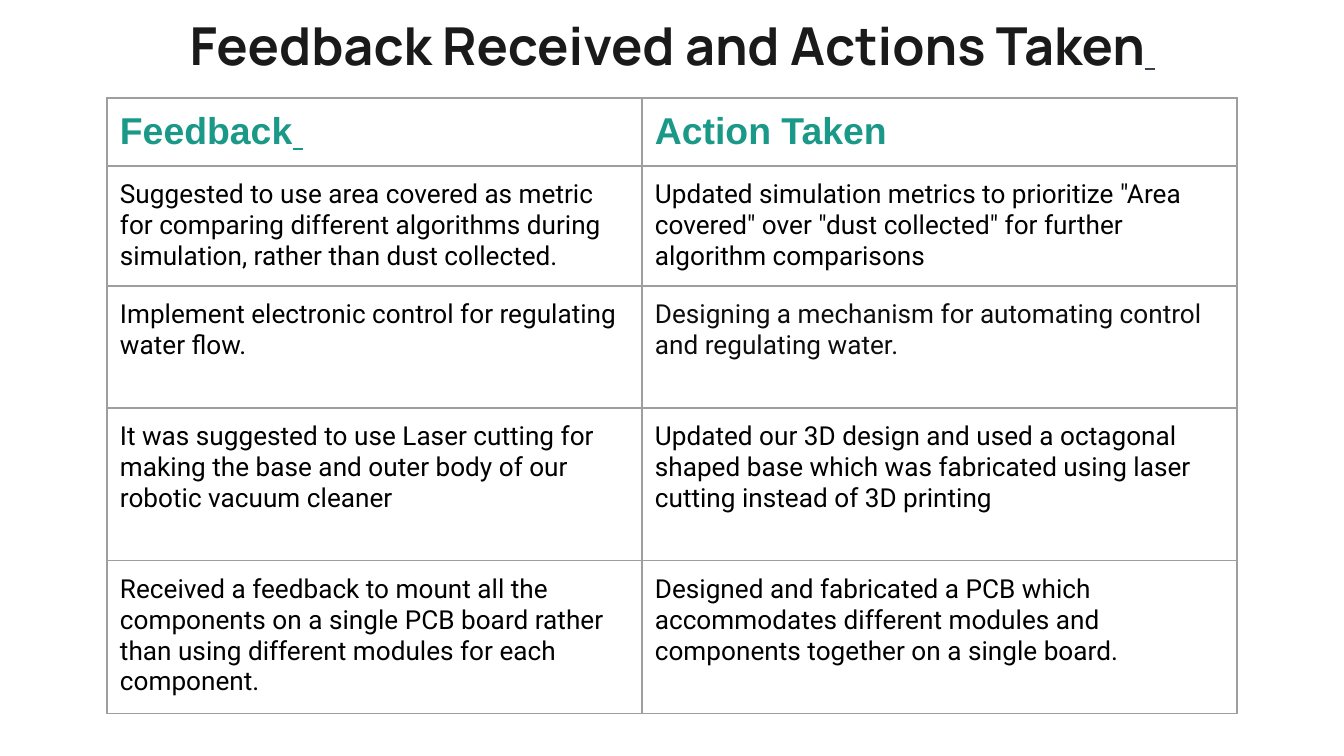
from dataclasses import dataclass

from lxml import etree
from pptx import Presentation
from pptx import util as u
from pptx.dml import color
from pptx.enum import text
from pptx.oxml import ns

PX = 914400 / 134.4


def px(n):
    return u.Emu(round(n * PX))


@dataclass(frozen=True)
class Theme:
    ink: str = "1A1A1A"
    title_mark: str = "374151"
    accent: str = "1A9988"
    body: str = "000000"
    soft: str = "0D0D0D"
    border: str = "9E9E9E"
    title_font: str = "Manrope"
    head_font: str = "Arial"
    body_font: str = "Roboto"
    title_size: int = 28
    head_size: int = 20
    body_size: int = 14
    border_width: float = 0.75
    inset: int = 13


def add_text(p, content, *, font, size, rgb, bold=False, underline=False):
    r = p.add_run()
    r.text = content
    f = r.font
    f.name, f.size, f.bold, f.underline = font, u.Pt(size), bold, underline
    f.color.rgb = color.RGBColor.from_string(rgb)


class Deck:
    def __init__(self, theme, width, height):
        self.theme = theme
        self.prs = Presentation()
        self.prs.slide_width, self.prs.slide_height = px(width), px(height)
        self.s = self.prs.slides.add_slide(self.prs.slide_layouts[5])

    def inset(self, box):
        box.margin_left = box.margin_right = px(self.theme.inset)
        box.margin_top = box.margin_bottom = px(self.theme.inset)
        box.vertical_anchor = text.MSO_ANCHOR.TOP

    def title(self, content, x, y, w, h):
        t = self.theme
        sp = self.s.shapes.title
        sp.left, sp.top, sp.width, sp.height = px(x), px(y), px(w), px(h)
        tf = sp.text_frame
        tf.word_wrap = True
        tf.auto_size = text.MSO_AUTO_SIZE.NONE
        self.inset(tf)
        p = tf.paragraphs[0]
        p.alignment = text.PP_ALIGN.CENTER
        style = dict(font=t.title_font, size=t.title_size, bold=True)
        add_text(p, content, rgb=t.ink, **style)
        add_text(p, " ", rgb=t.title_mark, underline=True, **style)

    def borders(self, cell):
        tc_pr = cell._tc.get_or_add_tcPr()
        for i, side in enumerate(("lnL", "lnR", "lnT", "lnB")):
            ln = etree.Element(ns.qn(f"a:{side}"), w=str(u.Pt(self.theme.border_width)))
            fill = etree.SubElement(ln, ns.qn("a:solidFill"))
            etree.SubElement(fill, ns.qn("a:srgbClr"), val=self.theme.border)
            tc_pr.insert(i, ln)

    def table(self, rows, x, y, widths, heights):
        t = self.theme
        frame = self.s.shapes.add_table(
            len(rows), len(widths), px(x), px(y), px(sum(widths)), px(sum(heights)))
        table = frame.table
        table.horz_banding = False
        for column, w in zip(table.columns, widths):
            column.width = px(w)
        for row, h in zip(table.rows, heights):
            row.height = px(h)
        head = dict(font=t.head_font, size=t.head_size, rgb=t.accent, bold=True)
        for i, row in enumerate(rows):
            for j, content in enumerate(row):
                cell = table.cell(i, j)
                cell.fill.background()
                self.inset(cell)
                self.borders(cell)
                rgb = t.soft if (i, j) == (2, 1) else t.body
                style = head if i == 0 else dict(font=t.body_font, size=t.body_size, rgb=rgb)
                p = cell.text_frame.paragraphs[0]
                add_text(p, content, **style)
                if (i, j) == (0, 0):
                    add_text(p, " ", underline=True, **style)


FEEDBACK = [
    ("Feedback", "Action Taken"),
    ("Suggested to use area covered as metric for comparing different algorithms "
     "during simulation, rather than dust collected.",
     'Updated simulation metrics to prioritize "Area covered" over "dust collected" '
     "for further algorithm comparisons"),
    ("Implement electronic control for regulating water flow.",
     "Designing a mechanism for automating control and regulating water."),
    ("It was suggested to use Laser cutting for making the base and outer body of our "
     "robotic vacuum cleaner",
     "Updated our 3D design and used a octagonal shaped base which was fabricated "
     "using laser cutting instead of 3D printing"),
    ("Received a feedback to mount all the components on a single PCB board rather "
     "than using different modules for each component.",
     "Designed and fabricated a PCB which accommodates different modules and "
     "components together on a single board."),
]


def main():
    deck = Deck(Theme(), 1344, 756)
    deck.table(FEEDBACK, 107, 98, (535, 595), (68, 120, 122, 153, 153))
    deck.title("Feedback Received and Actions Taken", 172, 0, 1001, 98)
    deck.prs.save("out.pptx")


if __name__ == "__main__":
    main()
